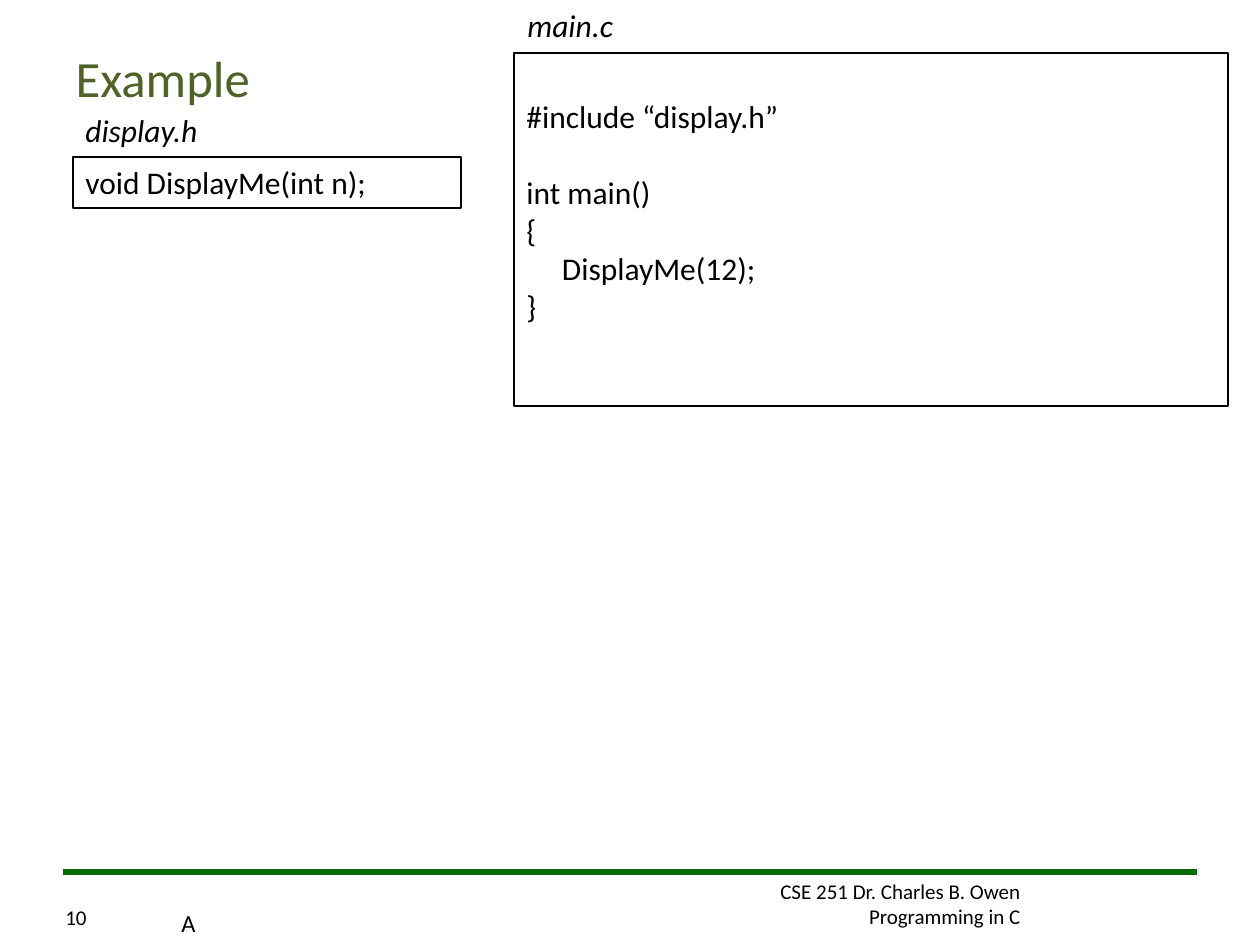
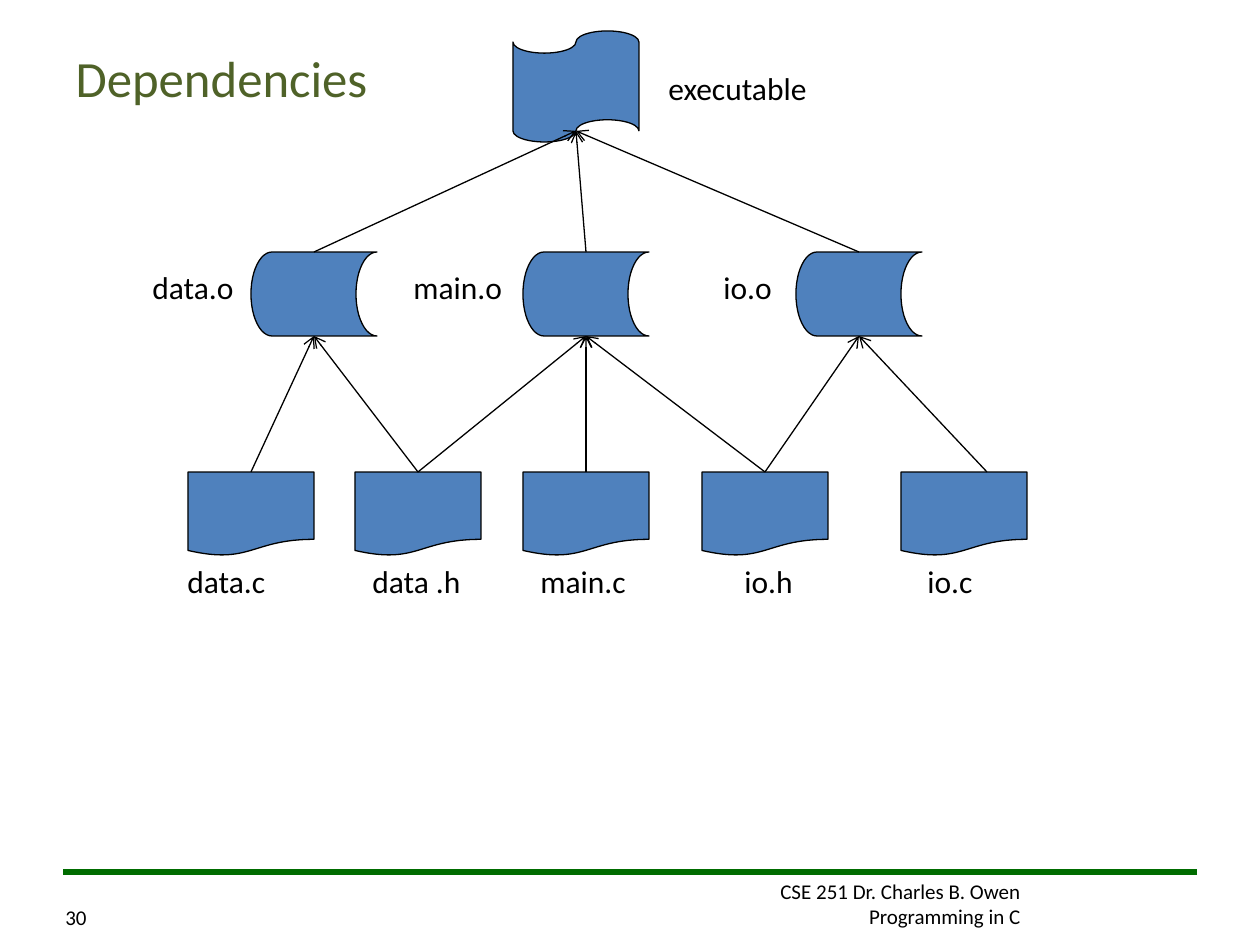
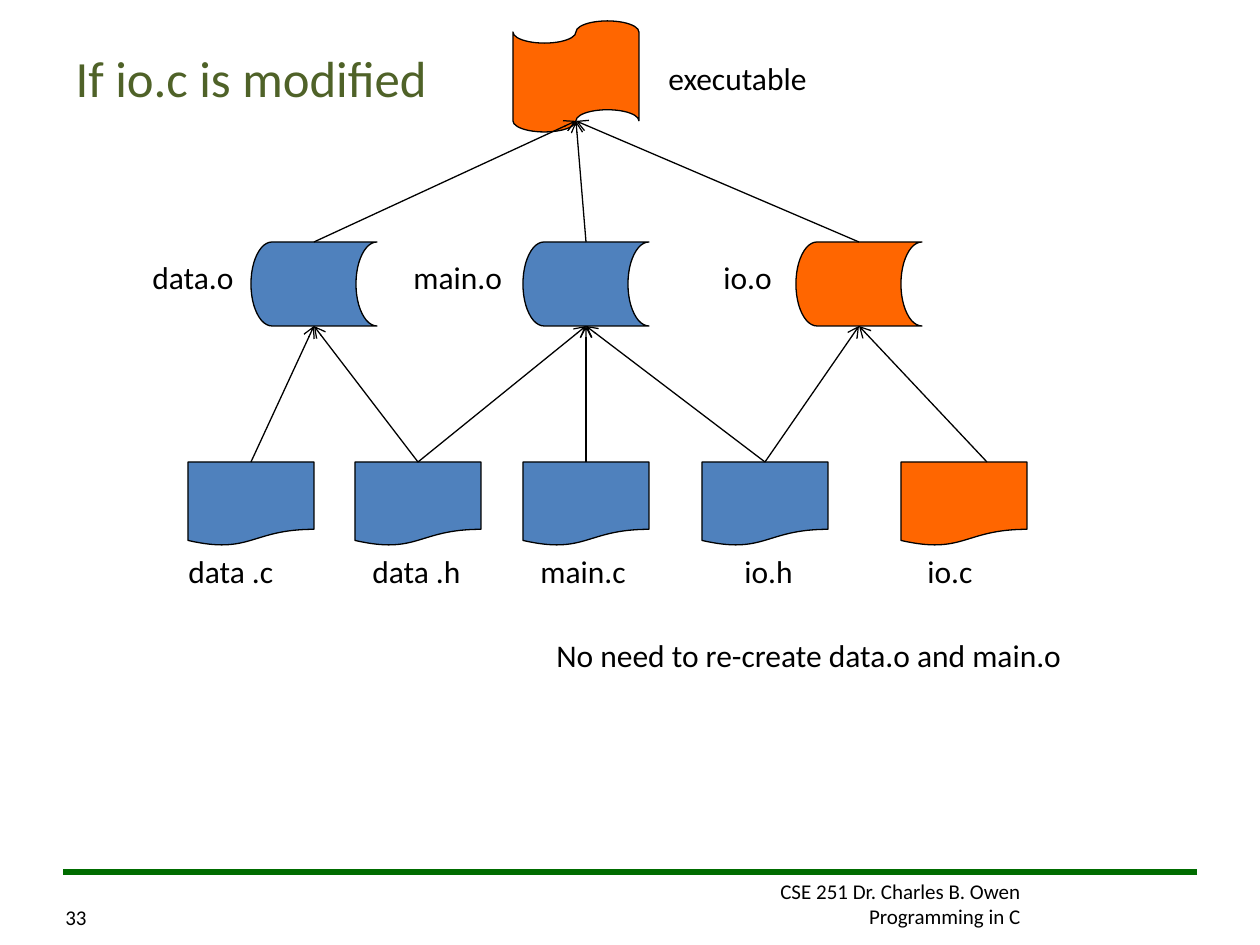
from dataclasses import dataclass

from lxml.etree import SubElement
from pptx import Presentation
from pptx.dml.color import RGBColor
from pptx.enum.shapes import MSO_CONNECTOR as Connector, MSO_SHAPE as Preset
from pptx.enum.text import MSO_ANCHOR as Anchor, MSO_AUTO_SIZE as AutoSize, PP_ALIGN as Align
from pptx.oxml.ns import qn
from pptx.util import Pt


@dataclass(frozen=True)
class Theme:
    font: str = "Calibri"
    ink: str = "000000"
    title: str = "4F6228"
    rule: str = "006C00"
    unchanged: str = "4F81BD"
    rebuilt: str = "FF6600"
    title_size: int = 29
    body_size: int = 18
    mark_size: int = 14
    footer_size: int = 12


THEME = Theme()
PX = 914400 / 126
SLIDE_SIZE = (1260, 945)

# Content: footer and code example
FOOTER = ["CSE 251 Dr. Charles B. Owen", "Programming in C"]
HEADER_CODE = ["void DisplayMe(int n);"]
MAIN_CODE = ["#include “display.h”", "int main()", "{", "     DisplayMe(12);", "}"]
FILE_NAMES = [("display.h", (73, 105, 139, 50)), ("main.c", (515, 0, 111, 50))]

# Content: files as name: (left, label left, label width)
SOURCES = {
    "data.c": (188, 175, 103),
    "data .h": (355, 360, 113),
    "main.c": (523, 528, 110),
    "io.h": (702, 732, 73),
    "io.c": (901, 915, 71),
}
OBJECTS = {
    "data.o": (251, 140, 107),
    "main.o": (523, 401, 113),
    "io.o": (796, 711, 73),
}
PROGRAM = {"executable": (513, 656, 165)}

# Each level: preset, files, top, height, label drop, share of height where arrows land
LEVELS = [
    (Preset.FLOWCHART_DOCUMENT, SOURCES, 472, 84, 84, 1),
    (Preset.FLOWCHART_STORED_DATA, OBJECTS, 252, 84, 10, 1),
    (Preset.FLOWCHART_PUNCHED_TAPE, PROGRAM, 31, 111, 32, 0.9),
]
NODE_WIDTH = 126
START_OFFSETS = {"io.c": 86}
DEPENDENCIES = {
    "data.o": ["data.c", "data .h"],
    "main.o": ["data .h", "main.c", "io.h"],
    "io.o": ["io.h", "io.c"],
    "executable": ["data.o", "main.o", "io.o"],
}


def emu(*lengths):
    return [round(length * PX) for length in lengths]


def set_all(target, values):
    for name, value in values.items():
        setattr(target, name, value)


def write(shape, lines, size=THEME.body_size, color=THEME.ink, italic=None,
          align=Align.LEFT, anchor=Anchor.TOP, wrap=False, gaps=None):
    frame = shape.text_frame
    set_all(frame, {"auto_size": AutoSize.NONE, "word_wrap": wrap, "vertical_anchor": anchor})
    for index, line in enumerate(lines):
        paragraph = frame.add_paragraph() if index else frame.paragraphs[0]
        paragraph.text = line
        paragraph.alignment = align
        if gaps and index in gaps:
            paragraph.space_before = Pt(gaps[index])
        set_all(paragraph.font, {"name": THEME.font, "size": Pt(size), "italic": italic})
        paragraph.font.color.rgb = RGBColor.from_string(color)


def add_text(slide, box, lines, **style):
    write(slide.shapes.add_textbox(*emu(*box)), lines, **style)


def add_outlined(slide, preset, box, fill=None, weight=0.75):
    shape = slide.shapes.add_shape(preset, *emu(*box))
    shape.shadow.inherit = False
    if fill:
        shape.fill.solid()
        shape.fill.fore_color.rgb = RGBColor.from_string(fill)
    else:
        shape.fill.background()
    shape.line.color.rgb = RGBColor.from_string(THEME.ink)
    shape.line.width = Pt(weight)
    return shape


def add_line(slide, start, end, color=THEME.ink, weight=0.75, arrow=False):
    line = slide.shapes.add_connector(Connector.STRAIGHT, *emu(*start, *end))
    line.line.color.rgb = RGBColor.from_string(color)
    line.line.width = Pt(weight)
    if arrow:
        SubElement(line.line._get_or_add_ln(), qn("a:tailEnd"), type="arrow")
    SubElement(line._element.spPr, qn("a:effectLst"))


def add_slide(presentation, title, number):
    slide = presentation.slides.add_slide(presentation.slide_layouts[5])
    # Footer band
    add_text(slide, (609, 872, 424, 63), FOOTER, size=THEME.footer_size,
             align=Align.RIGHT, wrap=True)
    add_line(slide, (1197, 872), (63, 872), THEME.rule, 3)
    add_text(slide, (53, 872, 50, 64), [str(number)], size=THEME.footer_size,
             anchor=Anchor.BOTTOM)
    # Title
    placeholder = slide.shapes.title
    left, top, width, height = emu(63, 38, 1134, 78)
    set_all(placeholder, {"left": left, "top": top, "width": width, "height": height})
    write(placeholder, [title], THEME.title_size, THEME.title, anchor=Anchor.MIDDLE, wrap=True)
    return slide


def add_code_example(slide):
    header_box = add_outlined(slide, Preset.RECTANGLE, (73, 157, 388, 51), weight=1)
    write(header_box, HEADER_CODE, wrap=True)
    main_box = add_outlined(slide, Preset.RECTANGLE, (514, 53, 714, 353), weight=1)
    main_box.text_frame.margin_top = emu(44)[0]
    write(main_box, MAIN_CODE, wrap=True, gaps={1: 22})
    for name, box in FILE_NAMES:
        add_text(slide, box, [name], italic=True)
    add_text(slide, (169, 902, 39, 43), ["A"], size=THEME.mark_size)


def add_dependency_graph(slide, shift=0, rebuilt=(), relabelled=None):
    starts, ends = {}, {}
    for preset, files, level_top, height, label_drop, landing in LEVELS:
        top = level_top + shift
        for name, (left, *label_span) in files.items():
            fill = THEME.rebuilt if name in rebuilt else THEME.unchanged
            add_outlined(slide, preset, (left, top, NODE_WIDTH, height), fill)
            label, label_left, label_width = (relabelled or {}).get(name, (name, *label_span))
            add_text(slide, (label_left, top + label_drop, label_width, 50), [label])
            starts[name] = (left + START_OFFSETS.get(name, NODE_WIDTH / 2), top)
            ends[name] = (left + NODE_WIDTH / 2, top + height * landing)
    for target, inputs in DEPENDENCIES.items():
        for name in inputs:
            add_line(slide, starts[name], ends[target], arrow=True)


def main():
    presentation = Presentation()
    presentation.slide_width, presentation.slide_height = emu(*SLIDE_SIZE)

    add_code_example(add_slide(presentation, "Example", 10))
    add_dependency_graph(add_slide(presentation, "Dependencies", 30))

    modified = add_slide(presentation, "If io.c is modified", 33)
    add_dependency_graph(modified, shift=-10, rebuilt={"io.c", "io.o", "executable"},
                         relabelled={"data.c": ("data .c", 176, 111)})
    add_text(modified, (544, 630, 620, 50), ["No need to re-create data.o and main.o"], wrap=True)

    presentation.save("out.pptx")


if __name__ == "__main__":
    main()
